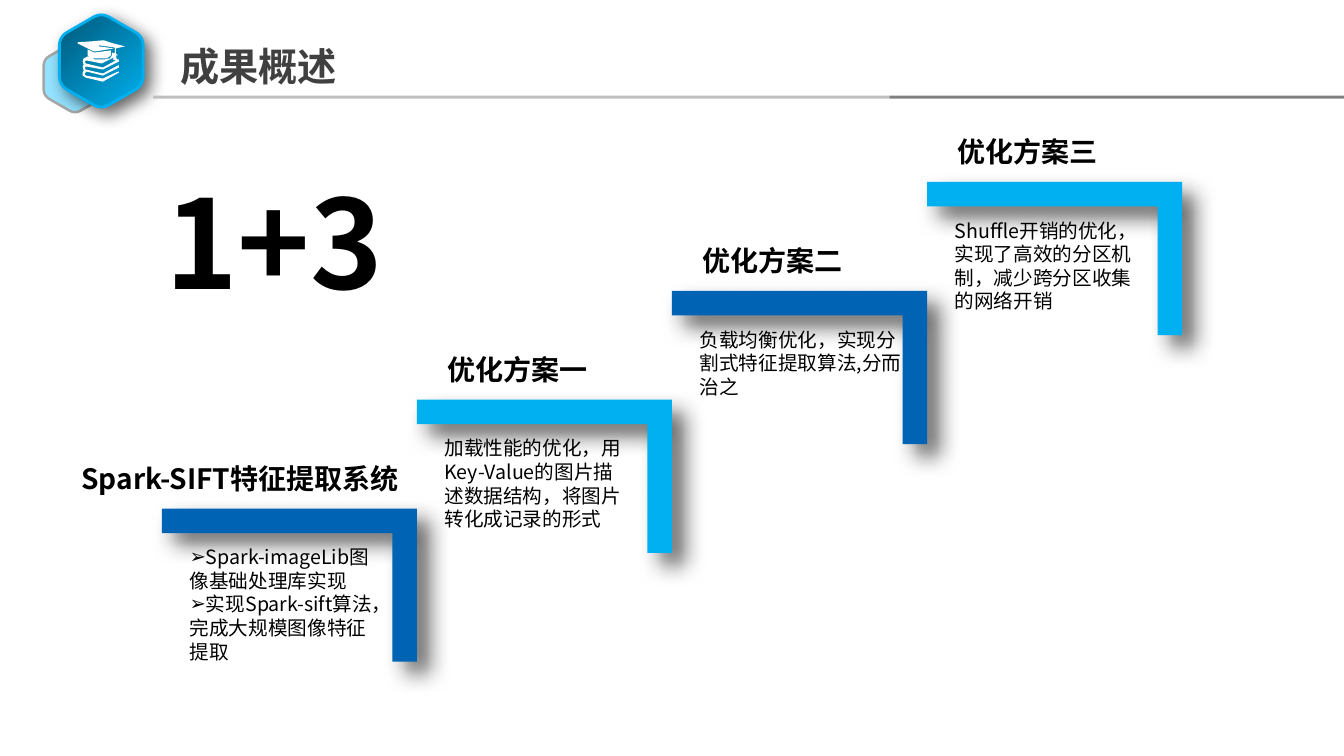
"""Build the achievements overview slide with its four rising steps."""
import math

from lxml import etree
from pptx import Presentation
from pptx import util as u
from pptx.dml.color import RGBColor
from pptx.enum import shapes, text
from pptx.oxml.ns import qn

PX = 9144
FONT = "Noto Sans CJK SC"
BLACK = RGBColor(0x00, 0x00, 0x00)
WHITE = RGBColor(0xFF, 0xFF, 0xFF)
CHARCOAL = RGBColor(0x40, 0x40, 0x40)
GREY = RGBColor(0x80, 0x80, 0x80)
SILVER = RGBColor(0xBF, 0xBF, 0xBF)
OUTLINE = RGBColor(0xA6, 0xA6, 0xA6)
PALE = RGBColor(0x93, 0xE2, 0xFF)
SKY = RGBColor(0x00, 0xB0, 0xF0)
TEAL = RGBColor(0x00, 0x58, 0x78)
BLUE = RGBColor(0x00, 0x63, 0xB4)

STEPS = [
    ("Spark-SIFT特征提取系统",
     ["Spark-imageLib图像基础处理库实现", "实现Spark-sift算法，完成大规模图像特征提取"]),
    ("优化方案一", ["加载性能的优化，用Key-Value的图片描述数据结构，将图片转化成记录的形式"]),
    ("优化方案二", ["负载均衡优化，实现分割式特征提取算法,分而治之"]),
    ("优化方案三", ["Shuffle开销的优化，实现了高效的分区机制，减少跨分区收集的网络开销"]),
]
STEP_X, STEP_Y = 253, 108

CAP_AND_BOOKS = [
    [(102, 75), (118, 67), (118, 65), (117, 65), (102, 73), (85, 69), (84, 67),
     (86, 66), (102, 69), (118, 61), (118, 59), (116, 59), (115, 55), (117, 55),
     (116, 54), (115, 53), (115, 48), (124, 46), (112, 43), (103, 40), (102, 40),
     (91, 41), (77, 42), (77, 43), (83, 46), (93, 51), (95, 51), (113, 48),
     (98, 46), (98, 45), (113, 47), (114, 48), (114, 52), (113, 53), (111, 52),
     (111, 55), (109, 58), (103, 59), (94, 59), (87, 56), (83, 58), (82, 61),
     (83, 64), (82, 66), (83, 70), (82, 72), (82, 75), (85, 77), (102, 81),
     (118, 72), (118, 71), (117, 71), (102, 78), (85, 75), (84, 73), (86, 71)],
    [(110, 50), (110, 55), (106, 58), (98, 58), (90, 58), (87, 55), (87, 49),
     (93, 52), (95, 52)],
    [(115, 60), (102, 67), (85, 63), (84, 61), (86, 60), (101, 63), (113, 57),
     (112, 59)],
]


def rounded_hexagon(cx, cy, radius, cut=0.19, samples=8):
    corners = [(cx + radius * math.sin(k * math.pi / 3),
                cy - radius * math.cos(k * math.pi / 3)) for k in range(6)]
    pts = []
    for k, (x, y) in enumerate(corners):
        (ax, ay), (bx, by) = corners[k - 1], corners[(k + 1) % 6]
        for n in range(samples + 1):
            t = n / samples
            before, after = cut * (1 - t) ** 2, cut * t ** 2
            pts.append((x + before * (ax - x) + after * (bx - x),
                        y + before * (ay - y) + after * (by - y)))
    return pts


def write(tf, paragraphs, size=14, color=BLACK, bold=False, bullet=None, wrap=True):
    tf.word_wrap = wrap
    tf.auto_size = text.MSO_AUTO_SIZE.SHAPE_TO_FIT_TEXT
    tf.vertical_anchor = text.MSO_ANCHOR.TOP
    for i, line in enumerate(paragraphs):
        p = tf.add_paragraph() if i else tf.paragraphs[0]
        p.alignment = text.PP_ALIGN.LEFT
        p.line_spacing = u.Pt(round(size * 1.2, 1))
        p.space_before = p.space_after = u.Pt(0)
        if bullet:
            ppr = p._p.get_or_add_pPr()
            ppr.set("marL", "0")
            ppr.set("indent", "0")
            etree.SubElement(ppr, qn("a:buChar")).set("char", bullet)
        r = p.add_run()
        r.text = line
        f = r.font
        f.name, f.size, f.bold = FONT, u.Pt(size), bold
        f.color.rgb = color
        ea = etree.SubElement(r._r.get_or_add_rPr(), qn("a:ea"))
        ea.set("typeface", FONT)


class Deck:
    def __init__(self):
        self.prs = Presentation()
        self.prs.slide_width, self.prs.slide_height = u.Inches(13.33), u.Inches(7.5)
        self.s = self.prs.slides.add_slide(self.prs.slide_layouts[1])

    def placeholder(self, idx, box, lines, **fmt):
        sp = self.s.placeholders[idx]
        sp.left, sp.top, sp.width, sp.height = (v * PX for v in box)
        write(sp.text_frame, lines, **fmt)

    def label(self, box, lines, **fmt):
        sp = self.s.shapes.add_textbox(*(v * PX for v in box))
        write(sp.text_frame, lines, **fmt)

    def paint(self, sp, fill, line=None, width=0):
        sp.shadow.inherit = False
        sp.fill.solid()
        sp.fill.fore_color.rgb = fill
        if line is None:
            sp.line.fill.background()
        else:
            sp.line.color.rgb = line
            sp.line.width = u.Pt(width)
        return sp

    def shape(self, kind, box, fill):
        return self.paint(self.s.shapes.add_shape(kind, *(v * PX for v in box)), fill)

    def outline(self, contours, fill, line=None, width=0):
        scaled = [[(x * PX, y * PX) for x, y in c] for c in contours]
        fb = self.s.shapes.build_freeform(*scaled[0][0], scale=1.0)
        for i, pts in enumerate(scaled):
            if i:
                fb.move_to(*pts[0])
            fb.add_line_segments(pts[1:], close=True)
        return self.paint(fb.convert_to_shape(), fill, line, width)

    def cast_shadow(self, sp, blur, dist):
        effects = sp._element.spPr.find(qn("a:effectLst"))
        sh = etree.SubElement(effects, qn("a:outerShdw"))
        for key, val in (("blurRad", u.Pt(blur)), ("dist", u.Pt(dist)),
                         ("dir", 45 * 60000), ("algn", "tl"), ("rotWithShape", 0)):
            sh.set(key, str(val))
        clr = etree.SubElement(sh, qn("a:srgbClr"))
        clr.set("val", str(BLACK))
        etree.SubElement(clr, qn("a:alpha")).set("val", "60000")

    def corner(self, box, fill):
        sp = self.shape(shapes.MSO_SHAPE.CORNER, box, fill)
        sp.adjustments[0] = sp.adjustments[1] = 0.16
        sp.rotation = 270
        sp._element.spPr.find(qn("a:xfrm")).set("flipH", "1")
        self.cast_shadow(sp, 16, 12)


def main():
    d = Deck()
    d.outline([rounded_hexagon(74.5, 77, 36)], PALE, OUTLINE, 1.75)
    badge = d.outline([rounded_hexagon(100.5, 60.5, 48)], TEAL, SKY, 2)
    badge.fill.gradient()
    badge.fill.gradient_angle = 135
    for stop, color in zip(badge.fill.gradient_stops, (SKY, TEAL)):
        stop.color.rgb = color
    d.cast_shadow(badge, 12, 6)
    d.placeholder(0, (169, 37, 427, 57), ["成果概述"], size=28, color=CHARCOAL, bold=True)
    for left, width, color in ((882, 451, GREY), (152, 730, SILVER)):
        d.shape(shapes.MSO_SHAPE.RECTANGLE, (left, 95, width, 3), color)
    d.outline(CAP_AND_BOOKS, WHITE)

    for i, (heading, lines) in enumerate(STEPS):
        dx, dy = i * STEP_X, i * STEP_Y
        d.corner((211 + dx, 454 - dy, 152, 253), SKY if i % 2 else BLUE)
        heading_box = (181 + dx, 453 - dy, 233, 44) if i else (71, 453, 339, 44)
        d.label(heading_box, [heading], size=20, bold=True)
        body_box = (178 + dx, 536 - dy, 227 if i == 2 else 204, 104)
        if i:
            d.label(body_box, lines)
        else:
            d.placeholder(1, body_box, lines, bullet="➢")

    d.label((154, 160, 266, 158), ["1+3"], size=88, bold=True, wrap=False)
    d.prs.save("out.pptx")


if __name__ == "__main__":
    main()
